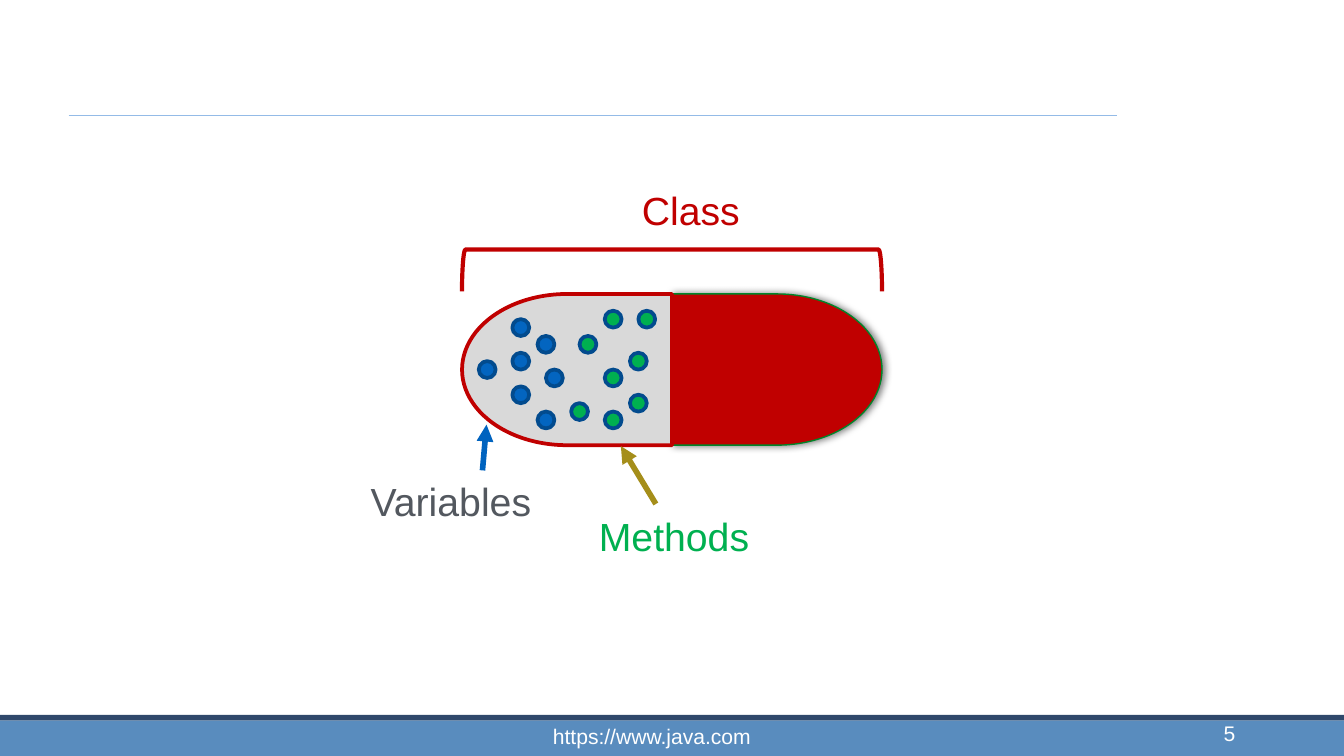
from lxml import etree
from pptx import Presentation
from pptx.dml.color import RGBColor
from pptx.enum.shapes import MSO_CONNECTOR as Connector, MSO_SHAPE as Shape
from pptx.enum.text import MSO_ANCHOR as Anchor, MSO_AUTO_SIZE as AutoSize, PP_ALIGN as Align
from pptx.oxml.ns import qn
from pptx.util import Inches, Pt

WHITE = RGBColor(0xFF, 0xFF, 0xFF)
BLACK = RGBColor(0x00, 0x00, 0x00)
FOOTER_BLUE = RGBColor(0x59, 0x8C, 0xBE)
FOOTER_EDGE = RGBColor(0x2F, 0x48, 0x6B)
RULE_BLUE = RGBColor(0x94, 0xBB, 0xE7)
RED = RGBColor(0xC0, 0x00, 0x00)
PILL_EDGE = RGBColor(0x00, 0x85, 0x2A)
LIGHT_GRAY = RGBColor(0xD9, 0xD9, 0xD9)
TEXT_GRAY = RGBColor(0x53, 0x58, 0x5F)
DOT_EDGE = RGBColor(0x02, 0x4B, 0x8E)
VARIABLE_BLUE = RGBColor(0x03, 0x65, 0xC0)
METHOD_GREEN = RGBColor(0x00, 0xB0, 0x50)
ARROW_BLUE = RGBColor(0x00, 0x63, 0xBF)
ARROW_GOLD = RGBColor(0xA5, 0x8E, 0x1A)

FONT = "Arial"
WIDTH = 10
HEIGHT = WIDTH * 9 / 16
GRID = 1 / 16  # the capsule and its dots sit on sixteenths of an inch
DOT_SIZE = 2 * GRID
HALF_WIDTH, HALF_HEIGHT = 25 * GRID, 18 * GRID
MIDDLE, CAPSULE_TOP = 80 * GRID, 35 * GRID
VARIABLE_DOTS = [(61, 38), (65, 44), (61, 42), (57, 43), (64, 40), (61, 46), (64, 49)]
METHOD_DOTS = [(68, 48), (72, 44), (75, 42), (72, 49), (69, 40), (72, 37), (75, 47), (76, 37)]


def add_figure(page, kind, left, top, width, height, fill=None, line=None, weight=1, rotation=0):
    figure = page.shapes.add_shape(kind, Inches(left), Inches(top), Inches(width), Inches(height))
    figure.shadow.inherit = False
    figure.rotation = rotation
    if fill is None:
        figure.fill.background()
    else:
        figure.fill.solid()
        figure.fill.fore_color.rgb = fill
    if line is None:
        figure.line.fill.background()
    else:
        figure.line.color.rgb = line
        figure.line.width = Pt(weight)
    return figure


def add_line(page, start, end, color, weight, arrow=False):
    line = page.shapes.add_connector(Connector.STRAIGHT, *map(Inches, start + end))
    line.line.color.rgb = color
    line.line.width = Pt(weight)
    if arrow:
        etree.SubElement(line.line._get_or_add_ln(), qn("a:tailEnd"), type="triangle")
    etree.SubElement(line._element.spPr, qn("a:effectLst"))


def add_shadow(figure, color, opacity, blur, distance):
    """Fill the figure's empty effect list with an outer shadow."""
    effects = figure._element.spPr.find(qn("a:effectLst"))
    shadow = etree.SubElement(effects, qn("a:outerShdw"), blurRad=str(Pt(blur)),
                              dist=str(Pt(distance)), dir="0", rotWithShape="0")
    tint = etree.SubElement(shadow, qn("a:srgbClr"), val=str(color))
    etree.SubElement(tint, qn("a:alpha"), val=str(opacity * 1000))


def add_text(page, text, left, top, width, height, color, size=21, align=Align.CENTER,
             anchor=Anchor.TOP, insets=(0.1, 0.05), grow=True):
    box = page.shapes.add_textbox(Inches(left), Inches(top), Inches(width), Inches(height))
    frame = box.text_frame
    frame.text = text
    frame.word_wrap = True
    frame.auto_size = AutoSize.SHAPE_TO_FIT_TEXT if grow else AutoSize.NONE
    frame.vertical_anchor = anchor
    frame.margin_left = frame.margin_right = Inches(insets[0])
    frame.margin_top = frame.margin_bottom = Inches(insets[1])
    para = frame.paragraphs[0]
    para.alignment = align
    font = para.runs[0].font
    font.name = FONT
    font.size = Pt(size)
    font.color.rgb = color


def add_dots(page, places, fill):
    for column, row in places:
        add_figure(page, Shape.OVAL, column * GRID, row * GRID, DOT_SIZE, DOT_SIZE,
                   fill, DOT_EDGE, 2)


def add_frame(page):
    """Draw the header rule and the footer bands."""
    add_figure(page, Shape.RECTANGLE, 0, 5.36, WIDTH, HEIGHT - 5.36, FOOTER_BLUE)
    add_figure(page, Shape.RECTANGLE, 0, 5.32, WIDTH, 0.04, FOOTER_EDGE)
    add_line(page, (0.51, 0.86), (8.31, 0.86), RULE_BLUE, 1)


def add_capsule(page):
    cap = add_figure(page, Shape.FLOWCHART_DELAY, MIDDLE, CAPSULE_TOP, HALF_WIDTH, HALF_HEIGHT,
                     RED, PILL_EDGE, 0.75)
    add_shadow(cap, BLACK, 50, 4, 1)
    add_figure(page, Shape.FLOWCHART_DELAY, MIDDLE - HALF_WIDTH, CAPSULE_TOP, HALF_WIDTH,
               HALF_HEIGHT, LIGHT_GRAY, RED, 2, 180)
    depth = 5 * GRID
    add_figure(page, Shape.LEFT_BRACKET, MIDDLE - depth / 2, 0.45, depth, 2 * HALF_WIDTH,
               None, RED, 2.25, 90)
    add_dots(page, VARIABLE_DOTS, VARIABLE_BLUE)
    add_dots(page, METHOD_DOTS, METHOD_GREEN)


def add_labels(page):
    add_text(page, "Class", 4.5, 1.34, 1.28, 0.45, RED)
    add_text(page, "Variables", 2.65, 3.5, 1.41, 0.45, TEXT_GRAY)
    add_line(page, (3.59, 3.5), (3.62, 3.16), ARROW_BLUE, 3, arrow=True)
    add_text(page, "Methods", 4.31, 3.76, 1.41, 0.45, METHOD_GREEN)
    add_line(page, (4.88, 3.75), (4.62, 3.32), ARROW_GOLD, 3, arrow=True)


def add_footer_text(page):
    add_text(page, "https://www.java.com", 3.52, 5.35, 2.66, 0.26, WHITE, 11.25,
             anchor=Anchor.BOTTOM, insets=(0.08, 0.04), grow=False)
    add_text(page, "5", 7.17, 5.3, 2.08, 0.31, WHITE, 11.25, Align.RIGHT,
             Anchor.BOTTOM, (0.06, 0.06))


def main():
    deck = Presentation()
    deck.slide_width, deck.slide_height = Inches(WIDTH), Inches(HEIGHT)
    page = deck.slides.add_slide(deck.slide_layouts[6])
    add_frame(page)
    add_capsule(page)
    add_labels(page)
    add_footer_text(page)
    deck.save("out.pptx")


if __name__ == "__main__":
    main()
